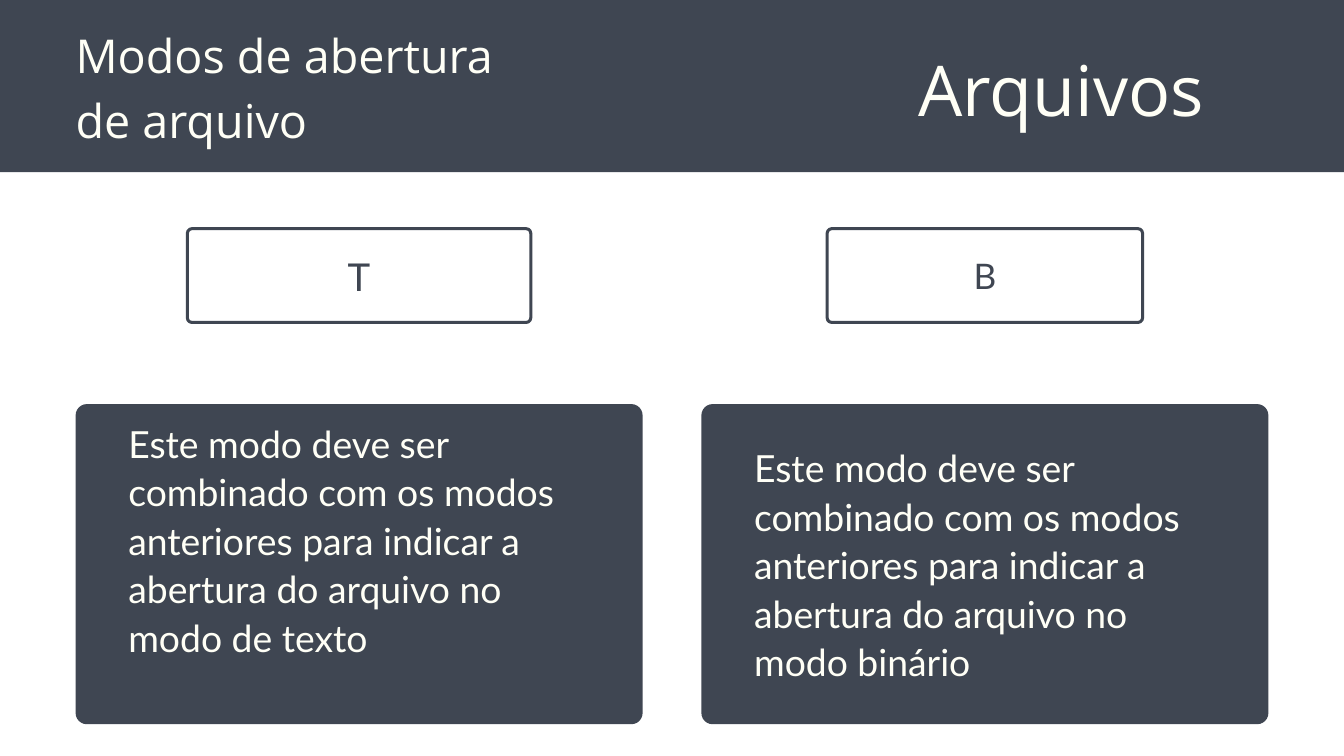
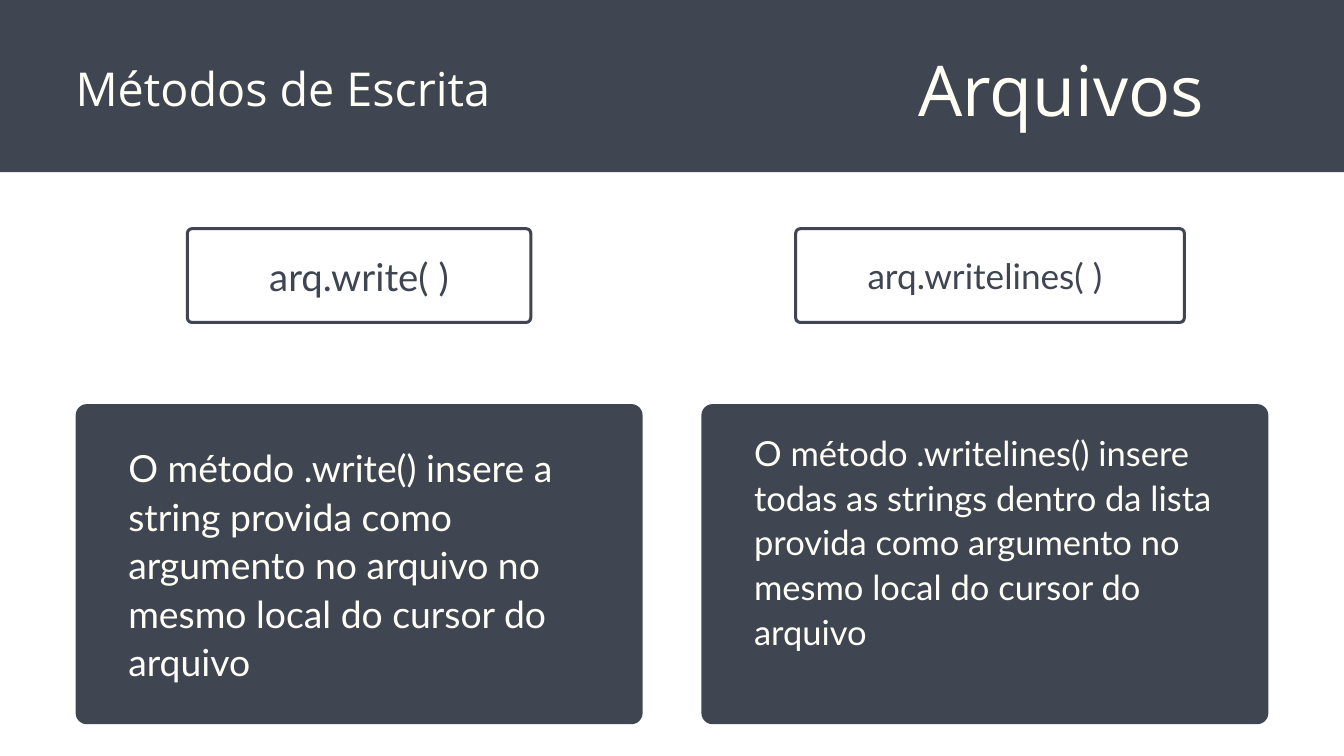
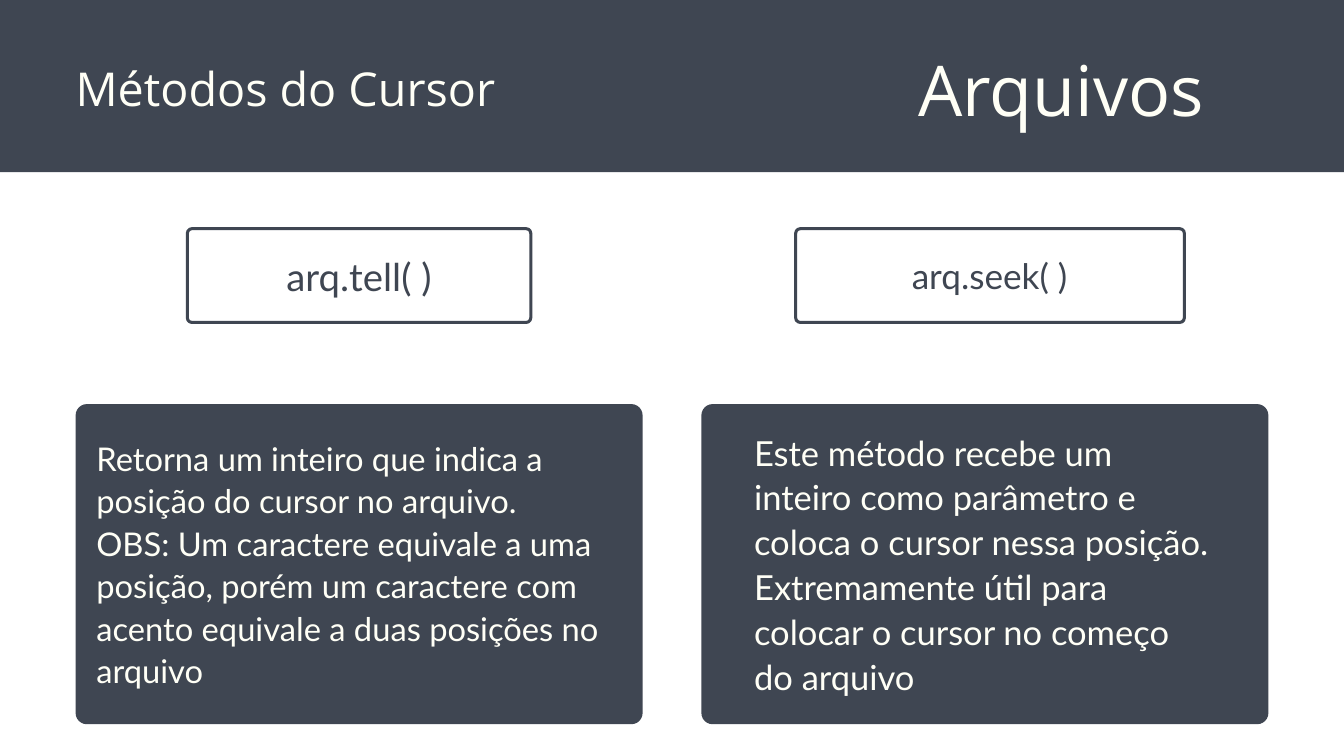
from dataclasses import dataclass

from pptx import Presentation
from pptx.dml.color import RGBColor
from pptx.enum.shapes import MSO_SHAPE
from pptx.enum.text import PP_ALIGN
from pptx.slide import Slide
from pptx.util import Pt

RECTANGLE = MSO_SHAPE.RECTANGLE
ROUNDED = MSO_SHAPE.ROUNDED_RECTANGLE
LEFT = PP_ALIGN.LEFT
CENTER = PP_ALIGN.CENTER


@dataclass(frozen=True)
class Style:
    font: str
    size: float
    color: RGBColor
    leading: float
    align: PP_ALIGN = LEFT


@dataclass(frozen=True)
class Theme:
    slate: RGBColor = RGBColor(0x3F, 0x46, 0x52)
    cream: RGBColor = RGBColor(0xFF, 0xFF, 0xF6)
    heading_font: str = "Open Sans"
    body_font: str = "Lato"
    subject_size: float = 75
    topic_size: float = 50
    label_sizes: tuple[float, float] = (41.1, 37.7)
    large: float = 40
    medium: float = 37
    small: float = 35
    heading_leading: float = 1.4
    body_leading: float = 1.3

    def heading(self, size: float, align: PP_ALIGN = LEFT) -> Style:
        return Style(self.heading_font, size, self.cream, self.heading_leading, align)

    def label(self, size: float) -> Style:
        return Style(self.body_font, size, self.slate, self.body_leading, CENTER)

    def body(self, size: float) -> Style:
        return Style(self.body_font, size, self.cream, self.body_leading)


THEME = Theme()


@dataclass(frozen=True)
class Box:
    left: float
    top: float
    width: float
    height: float

    @classmethod
    def around(cls, x: float, y: float, width: float, height: float) -> "Box":
        return cls(x - width / 2, y - height / 2, width, height)

    def lengths(self) -> tuple[Pt, Pt, Pt, Pt]:
        return Pt(self.left), Pt(self.top), Pt(self.width), Pt(self.height)


@dataclass(frozen=True)
class Column:
    """A framed label above a filled card; offsets are from the card's middle."""
    label: str
    label_width: float
    explanation: tuple[str, ...]
    size: float = THEME.large
    lines: int = 6
    text_width: float = 494.5
    frame_width: float = 368
    frame_offset: float = 0
    label_offset: float = 0


@dataclass(frozen=True)
class Page:
    topic: str
    topic_lines: int
    columns: tuple[Column, Column]


SLIDE_WIDTH, SLIDE_HEIGHT = 1440, 810
BAND = Box(0, 0, SLIDE_WIDTH, 184.5)
SUBJECT = Box(934.5, 35, 405.5, 102.5)
TOPIC_Y = 88.75
MARGIN = 81
CARD_WIDTH, CARD_HEIGHT, CARD_Y, CARD_RADIUS = 607.5, 343, 604.5, 12
FRAME_HEIGHT, FRAME_Y, FRAME_RADIUS, FRAME_LINE = 100.5, 295.25, 5, 3.25
LABEL_Y = 293.5
EXPLANATION_Y = 603
LEFT_X = MARGIN + CARD_WIDTH / 2
COLUMN_CENTERS = (LEFT_X, SLIDE_WIDTH - LEFT_X)

PAGES = (
    Page("Modos de abertura de arquivo", 2, (
        Column("T", 319, (
            "Este modo deve ser combinado com os modos anteriores para indicar a "
            "abertura do arquivo no modo de texto",)),
        Column("B", 293, (
            "Este modo deve ser combinado com os modos anteriores para indicar a "
            "abertura do arquivo no modo binário",),
            lines=5, frame_width=338),
    )),
    Page("Métodos de Escrita", 1, (
        Column("arq.write( )", 319, (
            "O método .write() insere a string provida como argumento no arquivo "
            "no mesmo local do cursor do arquivo",),
            lines=5),
        Column("arq.writelines( )", 278, (
            "O método .writelines() insere todas as strings dentro da lista provida "
            "como argumento no mesmo local do cursor do arquivo",),
            size=THEME.medium, frame_width=416.5, frame_offset=5.5),
    )),
    Page("Métodos do Cursor", 1, (
        Column("arq.tell( )", 319, (
            "Retorna um inteiro que indica a posição do cursor no arquivo.",
            "OBS: Um caractere equivale a uma posição, porém um caractere com acento "
            "equivale a duas posições no arquivo"),
            size=THEME.small, text_width=563),
        Column("arq.seek( )", 195, (
            "Este método recebe um inteiro como parâmetro e coloca o cursor nessa "
            "posição. Extremamente útil para colocar o cursor no começo do arquivo",),
            size=THEME.medium, frame_width=416.5, frame_offset=5.5, label_offset=5),
    )),
)


def add_panel(slide: Slide, box: Box, radius: float = 0, outlined: bool = False) -> None:
    """Draw a slate panel, either filled or as an outline only."""
    panel = slide.shapes.add_shape(ROUNDED if radius else RECTANGLE, *box.lengths())
    panel.shadow.inherit = False
    if radius:
        panel.adjustments[0] = radius / min(box.width, box.height)
    if outlined:
        panel.fill.background()
        panel.line.color.rgb = THEME.slate
        panel.line.width = Pt(FRAME_LINE)
    else:
        panel.fill.solid()
        panel.fill.fore_color.rgb = THEME.slate
        panel.line.fill.background()


def add_text(slide: Slide, box: Box, paragraphs: tuple[str, ...], style: Style) -> None:
    frame = slide.shapes.add_textbox(*box.lengths()).text_frame
    frame.word_wrap = True
    frame.margin_left = frame.margin_top = frame.margin_right = frame.margin_bottom = 0
    for index, words in enumerate(paragraphs):
        paragraph = frame.add_paragraph() if index else frame.paragraphs[0]
        paragraph.alignment = style.align
        paragraph.line_spacing = Pt(style.size * style.leading)
        run = paragraph.add_run()
        run.text = words
        run.font.name = style.font
        run.font.size = Pt(style.size)
        run.font.color.rgb = style.color


def add_header(slide: Slide, page: Page) -> None:
    add_panel(slide, BAND)
    add_text(slide, SUBJECT, ("Arquivos",), THEME.heading(THEME.subject_size, CENTER))
    style = THEME.heading(THEME.topic_size)
    height = page.topic_lines * style.size * style.leading
    topic_box = Box(MARGIN, TOPIC_Y - height / 2, 474.5, height)
    add_text(slide, topic_box, (page.topic,), style)


def add_column(slide: Slide, column: Column, x: float, label_size: float) -> None:
    frame_x = x + column.frame_offset
    add_panel(slide, Box.around(frame_x, FRAME_Y, column.frame_width, FRAME_HEIGHT),
              FRAME_RADIUS, outlined=True)
    add_panel(slide, Box.around(x, CARD_Y, CARD_WIDTH, CARD_HEIGHT), CARD_RADIUS)

    label = THEME.label(label_size)
    add_text(slide, Box.around(x + column.label_offset, LABEL_Y, column.label_width,
                               label.size * label.leading), (column.label,), label)
    body = THEME.body(column.size)
    add_text(slide, Box.around(x, EXPLANATION_Y, column.text_width,
                               column.lines * body.size * body.leading),
             column.explanation, body)


def main() -> None:
    deck = Presentation()
    deck.slide_width, deck.slide_height = Pt(SLIDE_WIDTH), Pt(SLIDE_HEIGHT)
    blank = deck.slide_layouts[6]
    for page in PAGES:
        slide = deck.slides.add_slide(blank)
        add_header(slide, page)
        for column, x, label_size in zip(page.columns, COLUMN_CENTERS, THEME.label_sizes):
            add_column(slide, column, x, label_size)
    deck.save("out.pptx")


if __name__ == "__main__":
    main()
